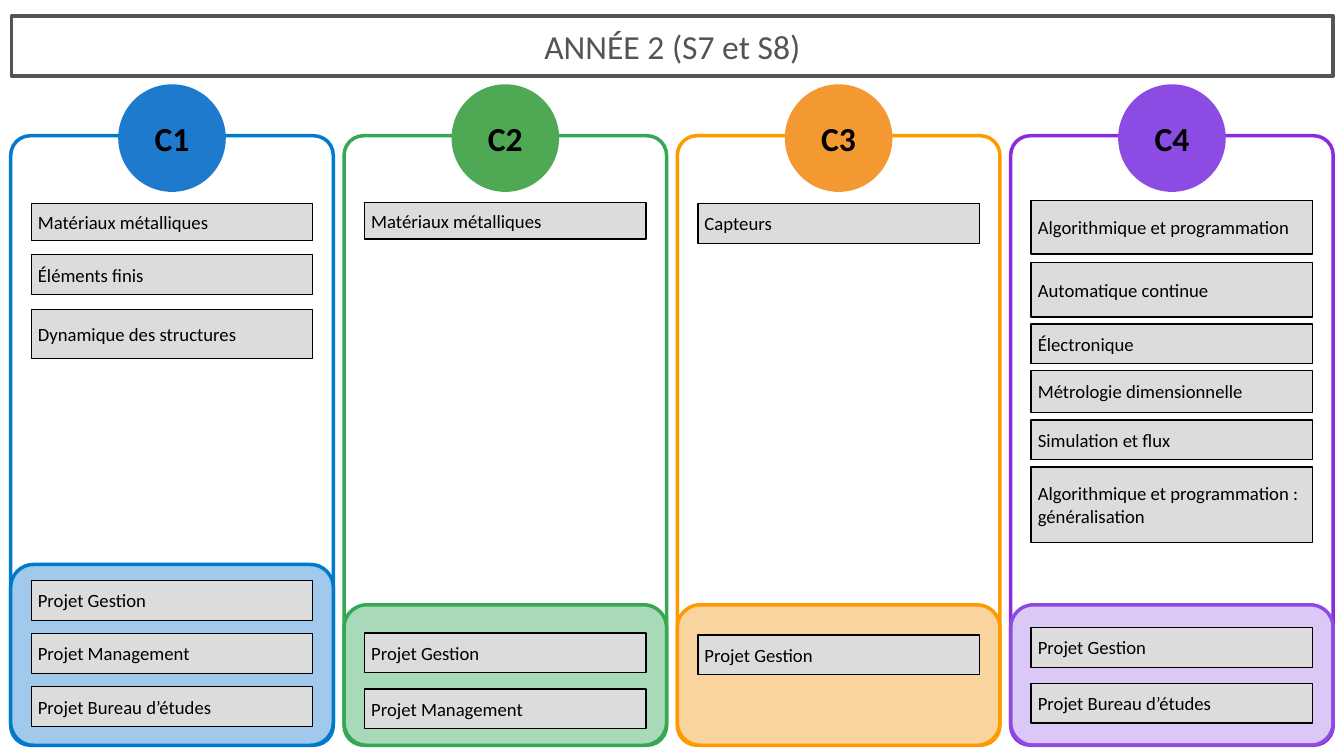
from dataclasses import dataclass

from lxml.etree import SubElement
from pptx import Presentation
from pptx.dml.color import RGBColor
from pptx.enum.shapes import MSO_SHAPE
from pptx.enum.text import MSO_ANCHOR, MSO_AUTO_SIZE, PP_ALIGN
from pptx.oxml.ns import qn
from pptx.util import Inches, Pt


@dataclass(frozen=True)
class Theme:
    font: str = "Calibri"
    title: str = "545454"
    text: str = "000000"
    course: str = "DDDCDC"
    heading_size: int = 36
    course_size: int = 20
    frame_line: float = 3.75
    circle_line: float = 2.25
    course_line: float = 1.5


@dataclass(frozen=True)
class Column:
    name: str
    line: str
    circle: str
    panel: str
    panel_top: float
    courses: tuple    # (text, top, height)
    projects: tuple   # (text, top)
    panel_alpha: int = 100


THEME = Theme()
LEFT, PITCH = 0.16, 4.96
COLUMN_TOP, COLUMN_W, COLUMN_H = 2.02, 4.8, 9.07
CIRCLE_TOP, CIRCLE_D = 1.27, 1.57
COURSE_W, PROJECT_H = 4.19, 0.59
COLUMN_RADIUS, PANEL_RADIUS = 0.29, 0.34

COLUMNS = (
    Column("C1", "007ACC", "1E7ACC", "A0C9EB", 8.4,
           (("Matériaux métalliques", 3.03, 0.55),
            ("Éléments finis", 3.79, 0.59),
            ("Dynamique des structures", 4.61, 0.73)),
           (("Projet Gestion", 8.64),
            ("Projet Management", 9.43),
            ("Projet Bureau d’études", 10.22))),
    Column("C2", "34A853", "4FA954", "A8DAB9", 9,
           (("Matériaux métalliques", 3.01, 0.55),),
           (("Projet Gestion", 9.42), ("Projet Management", 10.25))),
    Column("C3", "FF9900", "F49831", "FAD49E", 9,
           (("Capteurs", 3.03, 0.59),),
           (("Projet Gestion", 9.45),)),
    Column("C4", "8A2BE2", "8C4BE2", "8C4BE2", 9,
           (("Algorithmique et programmation", 2.98, 0.8),
            ("Automatique continue", 3.91, 0.81),
            ("Électronique", 4.82, 0.59),
            ("Métrologie dimensionnelle", 5.51, 0.63),
            ("Simulation et flux", 6.25, 0.59),
            ("Algorithmique et programmation : généralisation", 6.95, 1.12)),
           (("Projet Gestion", 9.34), ("Projet Bureau d’études", 10.17)),
           panel_alpha=30),
)


def style_line(sp, color, width):
    sp.line.color.rgb = RGBColor.from_string(color)
    sp.line.width = Pt(width)


def write(sp, text, size, color, align, bold=False):
    tf = sp.text_frame
    tf.text = text
    tf.word_wrap = True
    tf.auto_size = MSO_AUTO_SIZE.NONE
    tf.vertical_anchor = MSO_ANCHOR.MIDDLE
    p = tf.paragraphs[0]
    p.alignment = align
    font = p.runs[0].font
    font.name, font.size, font.bold = THEME.font, Pt(size), bold
    font.color.rgb = RGBColor.from_string(color)


def add_box(s, kind, x, y, w, h, line, width, fill=None, radius=None):
    sp = s.shapes.add_shape(kind, Inches(x), Inches(y), Inches(w), Inches(h))
    sp.shadow.inherit = False
    style_line(sp, line, width)
    if fill:
        sp.fill.solid()
        sp.fill.fore_color.rgb = RGBColor.from_string(fill)
    else:
        sp.fill.background()
    if radius:
        sp.adjustments[0] = radius / min(w, h)
    return sp


def set_alpha(sp, percent):
    color = sp.fill._xPr.find(qn("a:solidFill"))[0]
    SubElement(color, qn("a:alpha")).set("val", str(percent * 1000))


def add_title(s, text, x, y, w, h):
    title = s.shapes.title
    title.left, title.top = Inches(x), Inches(y)
    title.width, title.height = Inches(w), Inches(h)
    style_line(title, THEME.title, THEME.frame_line)
    write(title, text, THEME.heading_size, THEME.title, PP_ALIGN.CENTER)


def add_course(s, text, x, y, w, h):
    sp = add_box(s, MSO_SHAPE.RECTANGLE, x, y, w, h,
                 THEME.text, THEME.course_line, THEME.course)
    write(sp, text, THEME.course_size, THEME.text, PP_ALIGN.LEFT)


def add_column(s, col, x, y, w, h):
    # Frame
    add_box(s, MSO_SHAPE.ROUNDED_RECTANGLE, x, y, w, h,
            col.line, THEME.frame_line, radius=COLUMN_RADIUS)

    # Heading circle
    circle = add_box(s, MSO_SHAPE.OVAL, x + (w - CIRCLE_D) / 2, CIRCLE_TOP,
                     CIRCLE_D, CIRCLE_D, col.circle, THEME.circle_line, col.circle)
    write(circle, col.name, THEME.heading_size, THEME.text, PP_ALIGN.CENTER, bold=True)
    tf = circle.text_frame
    tf.margin_left = tf.margin_top = tf.margin_right = tf.margin_bottom = 0

    # Project panel, down to the foot of the frame
    panel_line = col.line if col.panel_alpha == 100 else col.panel
    panel = add_box(s, MSO_SHAPE.ROUNDED_RECTANGLE, x, col.panel_top, w,
                    y + h - col.panel_top, panel_line, THEME.frame_line,
                    col.panel, PANEL_RADIUS)
    if col.panel_alpha < 100:
        set_alpha(panel, col.panel_alpha)

    # Courses and projects
    projects = tuple((text, top, PROJECT_H) for text, top in col.projects)
    for text, top, height in col.courses + projects:
        add_course(s, text, x + (w - COURSE_W) / 2, top, COURSE_W, height)


def main():
    prs = Presentation()
    prs.slide_width, prs.slide_height = Inches(20), Inches(11.25)
    s = prs.slides.add_slide(prs.slide_layouts[5])
    add_title(s, "ANNÉE 2 (S7 et S8)", 0.17, 0.24, 19.67, 0.89)
    for i, col in enumerate(COLUMNS):
        add_column(s, col, LEFT + i * PITCH, COLUMN_TOP, COLUMN_W, COLUMN_H)
    prs.save("out.pptx")


if __name__ == "__main__":
    main()
